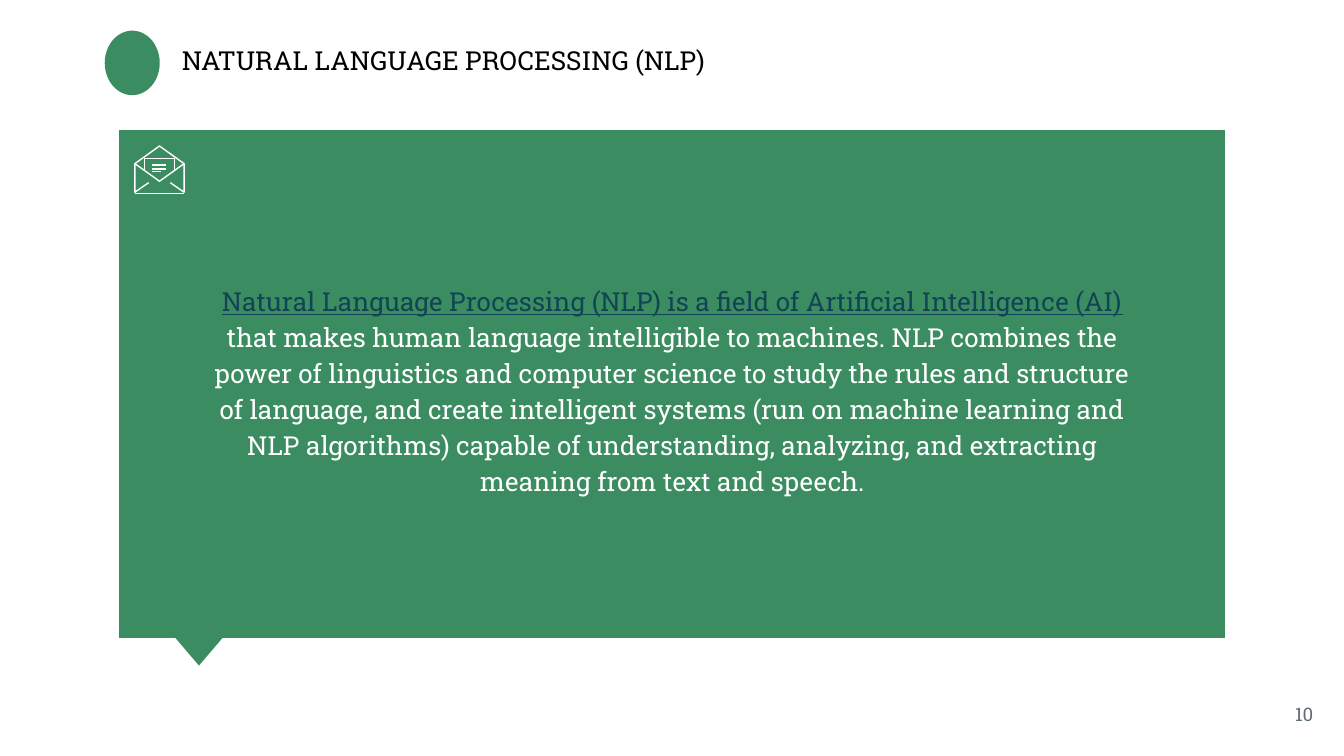
from lxml.etree import SubElement
from pptx import Presentation
from pptx.dml.color import RGBColor
from pptx.enum.shapes import MSO_CONNECTOR as Link, MSO_SHAPE as Kind
from pptx.enum.text import MSO_ANCHOR as Anchor, MSO_AUTO_SIZE as Fit, PP_ALIGN as Align
from pptx.oxml.ns import qn
from pptx.util import Cm, Pt

FONT = "Roboto Slab"
GREEN, NAVY, WHITE = "3B8D61", "114454", "FFFFFF"

MAIL = [
    [(72, 77), (100, 97), (100, 37), (50, 0), (0, 37), (0, 97), (28, 77)],
    [(100, 37), (50, 74), (0, 37)],
    [(20, 51), (20, 26), (80, 26), (80, 51)],
]
RULES = [(0, 100, 100), (34, 63, 40), (34, 63, 48), (34, 53, 54)]

LEAD = "Natural Language Processing (NLP) is a field of Artificial Intelligence (AI)"
BODY = (" that makes human language intelligible to machines. NLP combines the power of"
        " linguistics and computer science to study the rules and structure of language,"
        " and create intelligent systems (run on machine learning and NLP algorithms)"
        " capable of understanding, analyzing, and extracting meaning from text and speech.")


def tint(code):
    """Turn a hex string into a colour."""
    return RGBColor.from_string(code)


def paint(shape, code):
    """Fill a shape flat, without line or shadow."""
    shape.shadow.inherit = False
    shape.fill.solid()
    shape.fill.fore_color.rgb = tint(code)
    shape.line.fill.background()


def stroke(item):
    """Give a thin white line."""
    item.line.color.rgb = tint(WHITE)
    item.line.width = Pt(0.75)


def trace(slide, box, points):
    """Draw an open outline from points in percent of the box."""
    left, top, wide, high = box
    spots = [(Cm(left + wide * x / 100), Cm(top + high * y / 100)) for x, y in points]
    pen = slide.shapes.build_freeform(*spots[0])
    pen.add_line_segments(spots[1:], close=False)
    return pen.convert_to_shape()


def write(slide, box, parts, size, align=Align.LEFT):
    """Place one paragraph made of (text, colour) parts."""
    frame = slide.shapes.add_textbox(*map(Cm, box)).text_frame
    frame.word_wrap = True
    frame.margin_left = frame.margin_right = Cm(0.25)
    frame.margin_top = frame.margin_bottom = Cm(0.25)
    para = frame.paragraphs[0]
    para.alignment = align
    for text, code in parts:
        run = para.add_run()
        run.text = text
        run.font.name = FONT
        run.font.size = Pt(size)
        run.font.color.rgb = tint(code)
    return frame


def add_mail(slide, box):
    """Draw the open envelope with its letter."""
    left, top, wide, high = box
    for points in MAIL:
        shape = trace(slide, box, points)
        shape.shadow.inherit = False
        shape.fill.background()
        stroke(shape)
    for start, end, row in RULES:
        y = Cm(top + high * row / 100)
        rule = slide.shapes.add_connector(
            Link.STRAIGHT, Cm(left + wide * start / 100), y, Cm(left + wide * end / 100), y)
        stroke(rule)
        SubElement(rule._element.spPr, qn("a:effectLst"))


def add_title(slide, box):
    """Place a plain oval and the title beside it."""
    left, top, wide, high = box
    oval = slide.shapes.add_shape(Kind.OVAL, Cm(left), Cm(top), Cm(1.04), Cm(1.22))
    paint(oval, GREEN)
    frame = write(slide, (left + 1.21, top + 0.01, wide - 1.21, high),
                  [("NATURAL LANGUAGE PROCESSING (NLP)", "000000")], 14)
    frame.auto_size = Fit.SHAPE_TO_FIT_TEXT


def add_bubble(slide, box):
    """Place the speech panel with its tail, envelope and text."""
    left, top, wide, high = box
    panel = slide.shapes.add_shape(Kind.FLOWCHART_PROCESS, *map(Cm, box))
    tail = slide.shapes.add_shape(
        Kind.ISOSCELES_TRIANGLE, Cm(left + 0.75), Cm(top + high - 0.37), Cm(1.52), Cm(0.89))
    tail.rotation = 180
    for shape in (panel, tail):
        paint(shape, GREEN)
    add_mail(slide, (left + 0.3, top + 0.3, 0.93, 0.9))
    frame = write(slide, (left + 1.48, top + 2.6, wide - 2.94, 5.66),
                  [(LEAD, NAVY), (BODY, WHITE)], 14, Align.CENTER)
    frame.auto_size = Fit.SHAPE_TO_FIT_TEXT
    para = frame.paragraphs[0]
    para.line_spacing = 1.15
    para.space_before = Pt(12)
    para.runs[0].font.underline = True


def add_number(slide, box):
    """Place the page number."""
    frame = write(slide, box, [("10", "5F6C70")], 10, Align.RIGHT)
    frame.vertical_anchor = Anchor.MIDDLE


def main():
    """Build and save the slide."""
    deck = Presentation()
    deck.slide_width, deck.slide_height = Cm(25.4), Cm(14.29)
    slide = deck.slides.add_slide(deck.slide_layouts[6])
    add_bubble(slide, (2.25, 2.46, 20.9, 9.6))
    add_title(slide, (1.98, 0.58, 12.4, 1.12))
    add_number(slide, (23.55, 12.95, 1.52, 1.09))
    deck.save("out.pptx")


if __name__ == "__main__":
    main()
